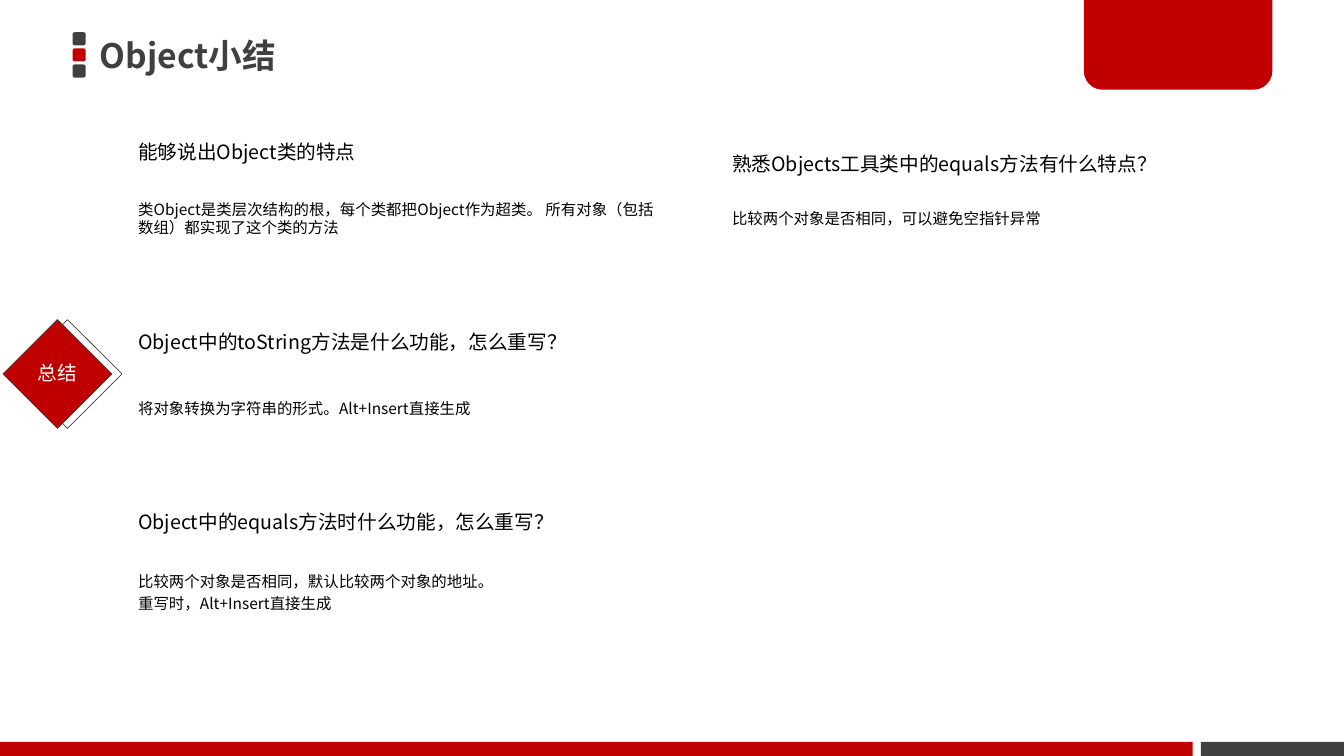
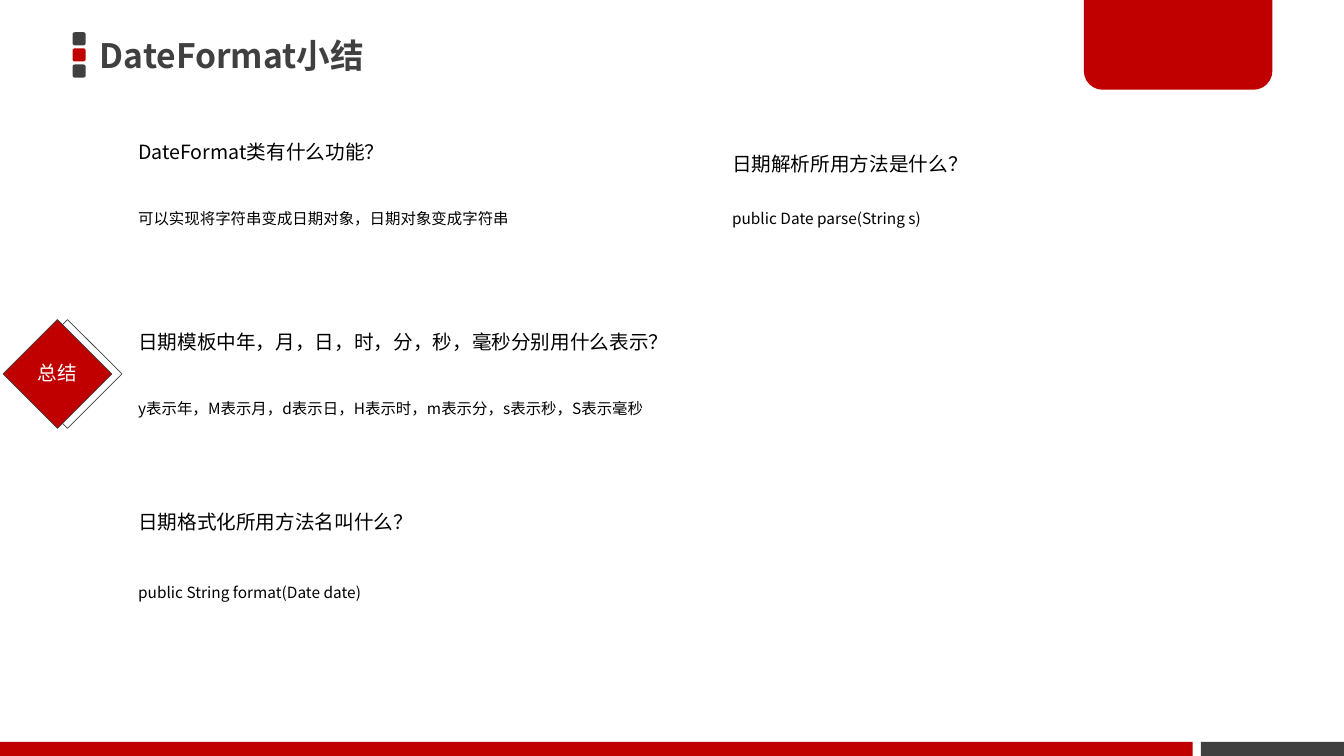
import copy
from dataclasses import dataclass
from typing import Optional

import pptx
import pptx.dml.color
import pptx.enum.shapes
import pptx.enum.text
import pptx.oxml
import pptx.oxml.ns
import pptx.presentation
import pptx.shapes.autoshape
import pptx.slide
import pptx.util
from lxml import etree

Inches = pptx.util.Inches
Points = pptx.util.Pt
Shape = pptx.shapes.autoshape.Shape
Preset = pptx.enum.shapes.MSO_SHAPE
Anchor = pptx.enum.text.MSO_ANCHOR
Align = pptx.enum.text.PP_ALIGN


@dataclass(frozen=True)
class Theme:
    font: str = "Noto Sans CJK JP"
    red: str = "C00000"
    gray: str = "404040"
    black: str = "000000"
    white: str = "FFFFFF"
    title_size: float = 24
    question_size: float = 14
    answer_size: float = 11


@dataclass(frozen=True)
class Box:
    left: float
    top: float
    width: float
    height: float


@dataclass(frozen=True)
class TextStyle:
    size: float
    color: str
    bold: bool = False
    line_spacing: float = 1.0
    anchor: Anchor = Anchor.MIDDLE
    align: Align = Align.LEFT


@dataclass(frozen=True)
class Column:
    left: float
    width: float


@dataclass(frozen=True)
class Row:
    question_top: float
    answer_top: float


@dataclass(frozen=True)
class Cell:
    column: Column
    row: Row
    question_spacing: float = 1.5

    def question_box(self) -> Box:
        return Box(self.column.left, self.row.question_top, self.column.width, QUESTION_HEIGHT)

    def answer_box(self) -> Box:
        return Box(self.column.left, self.row.answer_top, self.column.width, ANSWER_HEIGHT)


@dataclass(frozen=True)
class Review:
    question: str
    answer: tuple[str, ...]
    question_width: Optional[float] = None


@dataclass(frozen=True)
class Summary:
    title: str
    reviews: tuple[Review, ...]


THEME = Theme()
SLIDE_WIDTH, SLIDE_HEIGHT = 13.33, 7.5
QUESTION_HEIGHT, ANSWER_HEIGHT = 0.57, 0.77
TITLE_BOX = Box(0.92, 0.26, 9.59, 0.57)
LEFT, RIGHT = Column(1.3, 5.37), Column(7.19, 5.46)
TOP, MIDDLE, BOTTOM = Row(1.23, 1.78), Row(3.12, 3.67), Row(4.9, 5.49)
CELLS = (Cell(LEFT, TOP), Cell(LEFT, MIDDLE), Cell(LEFT, BOTTOM), Cell(RIGHT, TOP, 2.0))
FIRST_CELL_INDEX = 20
COMPARISON_LAYOUT = 4

SUMMARIES = (
    Summary("Object小结", (
        Review("能够说出Object类的特点",
               ("类Object是类层次结构的根，每个类都把Object作为超类。 所有对象（包括数组）都实现了这个类的方法",)),
        Review("Object中的toString方法是什么功能，怎么重写？",
               ("将对象转换为字符串的形式。Alt+Insert直接生成",)),
        Review("Object中的equals方法时什么功能，怎么重写？",
               ("比较两个对象是否相同，默认比较两个对象的地址。", "重写时，Alt+Insert直接生成")),
        Review("熟悉Objects工具类中的equals方法有什么特点？",
               ("比较两个对象是否相同，可以避免空指针异常",)),
    )),
    Summary("DateFormat小结", (
        Review("DateFormat类有什么功能？",
               ("可以实现将字符串变成日期对象，日期对象变成字符串",)),
        Review("日期模板中年，月，日，时，分，秒，毫秒分别用什么表示？",
               ("y表示年，M表示月，d表示日，H表示时，m表示分，s表示秒，S表示毫秒",),
               question_width=5.6),
        Review("日期格式化所用方法名叫什么？", ("public String format(Date date)",)),
        Review("日期解析所用方法是什么？", ("public Date parse(String s)",)),
    )),
)


def place(shape: Shape, box: Box) -> None:
    shape.left, shape.top = Inches(box.left), Inches(box.top)
    shape.width, shape.height = Inches(box.width), Inches(box.height)


def write(shape: Shape, lines: tuple[str, ...], style: TextStyle) -> None:
    frame = shape.text_frame
    frame.text = "\n".join(lines)
    frame.word_wrap = True
    frame.auto_size = pptx.enum.text.MSO_AUTO_SIZE.NONE
    frame.vertical_anchor = style.anchor
    frame.margin_left = frame.margin_right = Inches(0.07)
    frame.margin_top = frame.margin_bottom = Inches(0.04)
    for number, paragraph in enumerate(frame.paragraphs):
        paragraph.alignment = style.align
        paragraph.line_spacing = style.line_spacing
        paragraph.space_before = Points(2.5 if number else 0)
        font = paragraph.font
        font.name, font.size, font.bold = THEME.font, Points(style.size), style.bold
        font.color.rgb = pptx.dml.color.RGBColor.from_string(style.color)
    for properties in shape.element.iter(pptx.oxml.ns.qn("a:defRPr")):
        etree.SubElement(properties, pptx.oxml.ns.qn("a:ea"), typeface=THEME.font)


def add_layout_shape(slide: pptx.slide.Slide, preset: Preset, box: Box,
                     fill: Optional[str], line: Optional[str] = None) -> Shape:
    """Draw a preset shape and move it to the slide's layout, so all slides share it."""
    shape = slide.shapes.add_shape(preset, 0, 0, 0, 0)
    place(shape, box)
    shape.shadow.inherit = False
    if fill:
        shape.fill.solid()
        shape.fill.fore_color.rgb = pptx.dml.color.RGBColor.from_string(fill)
    else:
        shape.fill.background()
    if line:
        shape.line.color.rgb = pptx.dml.color.RGBColor.from_string(line)
        shape.line.width = Points(0.5)
    else:
        shape.line.fill.background()
    slide.slide_layout.shapes.element.append(shape.element)
    return shape


def add_decoration(slide: pptx.slide.Slide) -> None:
    for number, color in enumerate((THEME.gray, THEME.red, THEME.gray)):
        marker = Box(0.72, 0.32 + 0.16 * number, 0.13, 0.13)
        add_layout_shape(slide, Preset.ROUNDED_RECTANGLE, marker, color)

    corner_tab = add_layout_shape(
        slide, Preset.ROUND_2_SAME_RECTANGLE, Box(10.75, 0, 1.87, 0.89), THEME.red)
    corner_tab.adjustments[0], corner_tab.adjustments[1] = 0, 0.21

    band_height, red_width, gray_left = 0.14, 11.83, 11.91
    band_top = SLIDE_HEIGHT - band_height
    add_layout_shape(slide, Preset.RECTANGLE, Box(0, band_top, red_width, band_height), THEME.red)
    add_layout_shape(slide, Preset.RECTANGLE,
                     Box(gray_left, band_top, SLIDE_WIDTH - gray_left, band_height), THEME.gray)

    add_layout_shape(slide, Preset.DIAMOND, Box(0.13, 3.17, 1.08, 1.08), None, THEME.gray)
    badge = add_layout_shape(
        slide, Preset.DIAMOND, Box(0.03, 3.17, 1.08, 1.08), THEME.red, THEME.gray)
    write(badge, ("总结",), TextStyle(
        THEME.question_size, THEME.white, line_spacing=0.9, align=Align.CENTER))
    badge.text_frame.margin_left = badge.text_frame.margin_right = 0


def prepare_layout(layout: pptx.slide.SlideLayout) -> None:
    """Leave a title and one text placeholder for each question and answer."""
    boxes = [box for cell in CELLS for box in (cell.question_box(), cell.answer_box())]
    placeholders = {item.placeholder_format.idx: item for item in layout.placeholders}
    title, pattern = placeholders[0], placeholders[1]
    place(title, TITLE_BOX)
    for index, box in enumerate(boxes, FIRST_CELL_INDEX):
        place(pattern, box)
        clone = copy.deepcopy(pattern.element)
        clone.xpath(".//p:ph")[0].set("idx", str(index))
        layout.shapes.element.append(clone)
    for index, placeholder in placeholders.items():
        if index:
            layout.shapes.element.remove(placeholder.element)


def number_shapes(layout: pptx.slide.SlideLayout) -> None:
    for number, shape in enumerate(layout.shapes, 2):
        shape.element.xpath("./*/p:cNvPr")[0].set("id", str(number))


def fill_slide(slide: pptx.slide.Slide, summary: Summary) -> None:
    write(slide.shapes.title, (summary.title,),
          TextStyle(THEME.title_size, THEME.gray, bold=True))
    for number, (cell, review) in enumerate(zip(CELLS, summary.reviews)):
        index = FIRST_CELL_INDEX + 2 * number
        question, answer = slide.placeholders[index], slide.placeholders[index + 1]
        if review.question_width:
            box = cell.question_box()
            place(question, Box(box.left, box.top, review.question_width, box.height))
        write(question, (review.question,), TextStyle(
            THEME.question_size, THEME.black,
            line_spacing=cell.question_spacing, anchor=Anchor.TOP))
        write(answer, review.answer, TextStyle(THEME.answer_size, THEME.black))


def main() -> None:
    presentation = pptx.Presentation()
    presentation.slide_width = Inches(SLIDE_WIDTH)
    presentation.slide_height = Inches(SLIDE_HEIGHT)
    layout = presentation.slide_layouts[COMPARISON_LAYOUT]
    prepare_layout(layout)
    slides = [presentation.slides.add_slide(layout) for _ in SUMMARIES]
    add_decoration(slides[0])
    number_shapes(layout)
    for slide, summary in zip(slides, SUMMARIES):
        fill_slide(slide, summary)
    presentation.save("out.pptx")


if __name__ == "__main__":
    main()
